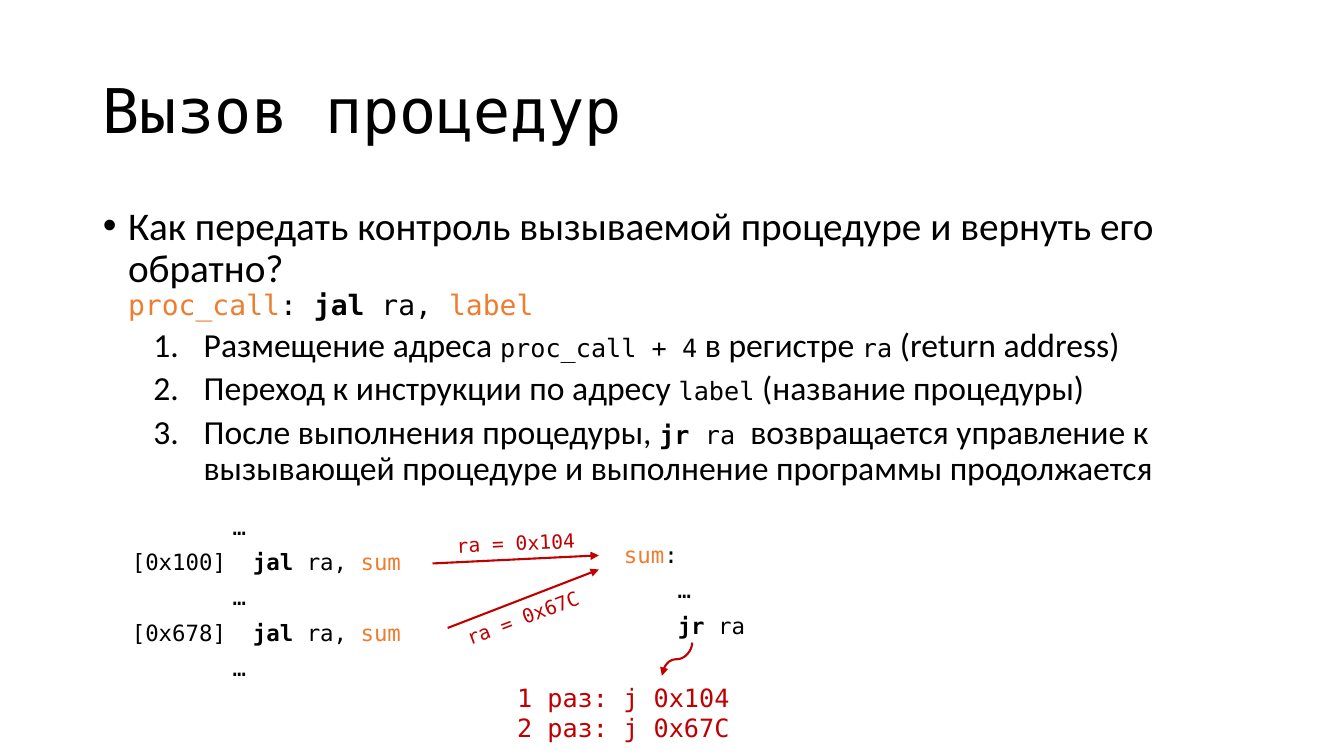
from lxml.etree import SubElement
from pptx import Presentation
from pptx.dml.color import RGBColor
from pptx.enum.shapes import MSO_CONNECTOR, MSO_SHAPE
from pptx.enum.text import MSO_ANCHOR, MSO_AUTO_SIZE, PP_ALIGN
from pptx.oxml.ns import qn
from pptx.util import Inches, Pt

COLORS = {"black": "000000", "white": "FFFFFF", "label": "ED7D31", "call": "C00000"}
SANS, MONO = "Calibri", "DejaVu Sans Mono"


def rgb(name):
    return RGBColor.from_string(COLORS[name])


def put(shape, left, top, width, height):
    shape.left, shape.top = Inches(left), Inches(top)
    shape.width, shape.height = Inches(width), Inches(height)


def add_run(para, text, size, face=MONO, color="black", bold=False):
    run = para.add_run()
    run.text = text
    run.font.size = Pt(size)
    run.font.name = face
    run.font.bold = bold
    run.font.color.rgb = rgb(color)


def add_code(para, parts, size):
    for text, kind in parts:
        color = kind if kind in COLORS else "black"
        add_run(para, text, size, color=color, bold=kind == "bold")


def add_break(para, size):
    para.add_line_break()
    mark = para._p.findall(qn("a:br"))[-1]
    SubElement(mark, qn("a:rPr"), sz=str(size * 100))


def set_list(para, left, hang, tag, **attrs):
    props = para._p.get_or_add_pPr()
    props.set("marL", str(Inches(left)))
    props.set("indent", str(-Inches(hang)))
    SubElement(props, qn("a:buFont"), typeface="Arial" if tag == "a:buChar" else "+mj-lt")
    SubElement(props, qn(tag), **attrs)


def set_tab(para, pos):
    tabs = SubElement(para._p.get_or_add_pPr(), qn("a:tabLst"))
    SubElement(tabs, qn("a:tab"), pos=str(Inches(pos)), algn="l")


def next_para(frame, index):
    return frame.paragraphs[0] if index == 0 else frame.add_paragraph()


def fill_title(shape, text):
    put(shape, 0.92, 0.4, 11.5, 1.45)
    frame = shape.text_frame
    frame.auto_size = MSO_AUTO_SIZE.NONE
    frame.vertical_anchor = MSO_ANCHOR.MIDDLE
    para = frame.paragraphs[0]
    para.alignment = PP_ALIGN.LEFT
    para.line_spacing = 0.9
    add_run(para, text, 44)


def fill_body(shape, lead, code, steps):
    put(shape, 0.92, 2, 11.5, 4.76)
    frame = shape.text_frame
    frame.auto_size = MSO_AUTO_SIZE.NONE
    para = frame.paragraphs[0]
    para.line_spacing = 0.9
    para.space_before = Pt(0)
    set_list(para, 0.25, 0.25, "a:buChar", char="•")
    add_run(para, lead, 28, SANS)
    add_break(para, 28)
    add_code(para, code, 20)
    for step in steps:
        para = frame.add_paragraph()
        para.level = 1
        para.line_spacing = 0.9
        para.space_before = Pt(5)
        set_list(para, 1, 0.5, "a:buAutoNum", type="arabicPeriod")
        for text, kind in step:
            if kind == "text":
                add_run(para, text, 24, SANS)
            else:
                add_code(para, [(text, kind)], 18)


def add_block(slide, box, lines):
    shape = slide.shapes.add_shape(MSO_SHAPE.RECTANGLE, *map(Inches, box))
    shape.shadow.inherit = False
    shape.fill.solid()
    shape.fill.fore_color.rgb = rgb("white")
    shape.line.fill.background()
    frame = shape.text_frame
    frame.word_wrap = True
    frame.vertical_anchor = MSO_ANCHOR.TOP
    for index, parts in enumerate(lines):
        para = next_para(frame, index)
        para.alignment = PP_ALIGN.LEFT
        para.space_before = Pt(6 if index else 0)
        set_tab(para, 1)
        add_code(para, parts, 16)


def add_note(slide, box, lines, size, align=PP_ALIGN.LEFT, turn=0):
    shape = slide.shapes.add_textbox(*map(Inches, box))
    shape.rotation = turn
    frame = shape.text_frame
    frame.word_wrap = True
    for index, text in enumerate(lines):
        para = next_para(frame, index)
        para.alignment = align
        add_run(para, text, size, color="call")


def add_arrow(slide, ends, kind=MSO_CONNECTOR.STRAIGHT, turn=0):
    arrow = slide.shapes.add_connector(kind, *map(Inches, ends))
    arrow.line.color.rgb = rgb("call")
    arrow.line.width = Pt(1.5)
    props = arrow._element.spPr
    SubElement(props.find(qn("a:ln")), qn("a:tailEnd"), type="triangle")
    SubElement(props, qn("a:effectLst"))
    if turn:
        props.find(qn("a:xfrm")).set("rot", str(turn * 60000))


def main():
    deck = Presentation()
    deck.slide_width, deck.slide_height = Inches(13.33), Inches(7.5)
    slide = deck.slides.add_slide(deck.slide_layouts[1])

    fill_title(slide.shapes.title, "Вызов процедур")
    fill_body(
        slide.placeholders[1],
        "Как передать контроль вызываемой процедуре и вернуть его обратно?",
        [("proc_call", "label"), (": ", ""), ("jal", "bold"), (" ra, ", ""), ("label", "label")],
        [
            [("Размещение адреса ", "text"), ("proc_call + 4", ""), (" в регистре ", "text"),
             ("ra", ""), (" (return address)", "text")],
            [("Переход к инструкции по адресу ", "text"), ("label", ""),
             (" (название процедуры)", "text")],
            [("После выполнения процедуры, ", "text"), ("jr", "bold"), (" ra ", ""),
             ("возвращается управление к вызывающей процедуре "
              "и выполнение программы продолжается", "text")],
        ],
    )

    gap = [("\t…", "")]
    calls = [gap]
    for place in ("0x100", "0x678"):
        calls.append([(f"[{place}]  ", ""), ("jal ", "bold"), ("ra, ", ""), ("sum", "label")])
        calls.append(gap)
    add_block(slide, (1.21, 5.04, 3.86, 2.02), calls)
    add_block(slide, (6.09, 5.32, 2.38, 1.47), [
        [("sum", "label"), (":", "")],
        [("    …", "")],
        [("    ", ""), ("jr", "bold"), (" ra", "")],
    ])

    for ends, spot, text, turn in (
        ((4.29, 5.59, 5.94, 5.51), (4.29, 5.22), "ra = 0x104", 357.4),
        ((4.44, 6.23, 5.94, 5.65), (4.36, 5.96), "ra = 0x67C", 339.2),
    ):
        add_arrow(slide, ends)
        add_note(slide, (*spot, 1.65, 0.34), [text], 14, PP_ALIGN.CENTER, turn)
    add_arrow(slide, (6.55, 6.39, 6.88, 6.69), MSO_CONNECTOR.CURVE, 90)
    add_note(slide, (5.03, 6.72, 2.47, 0.71), ["1 раз: j 0x104", "2 раз: j 0x67C"], 18)

    deck.save("out.pptx")


if __name__ == "__main__":
    main()
